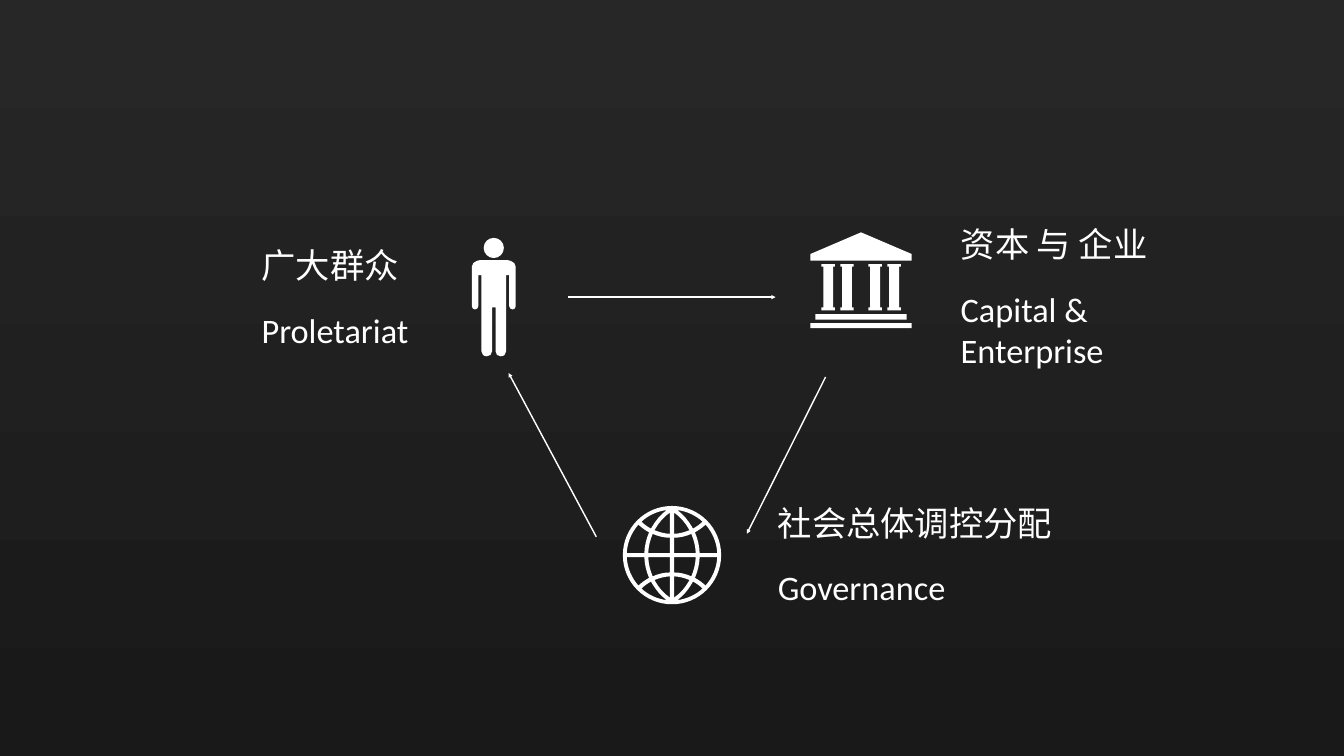
import itertools
from dataclasses import dataclass

import pptx
import pptx.dml.color
import pptx.enum.shapes
import pptx.enum.text
import pptx.oxml
import pptx.oxml.ns
import pptx.slide
import pptx.util

Pt = pptx.util.Pt
Point = tuple[float, float]
# An outline holds points (x, y) and cubic curves (x1, y1, x2, y2, x, y).
Outline = list[tuple[float, ...]]


@dataclass(frozen=True)
class Theme:
    font: str = "Calibri"
    label_size: float = 49
    label_gap: float = 33
    inset: float = 5.9
    arrow_width: float = 2
    ink: str = "FFFFFF"
    background_top: str = "272727"
    background_bottom: str = "191919"


@dataclass(frozen=True)
class Label:
    chinese: str
    english: str
    left: float
    top: float
    width: float
    height: float


@dataclass(frozen=True)
class Arrow:
    start: Point
    end: Point


THEME = Theme()

LABELS = [
    Label("广大群众", "Proletariat", 367.8, 334, 338.4, 181),
    Label("资本 与 企业", "Capital & Enterprise", 1366.6, 299.8, 338.4, 249),
    Label("社会总体调控分配", "Governance", 1105.2, 702.4, 463, 181),
]

ARROWS = [
    Arrow((812, 424.5), (1108, 424.5)),
    Arrow((1179.4, 538.6), (1067, 762.5)),
    Arrow((851.8, 766.8), (726.5, 532.8)),
]

# Right half of the body: x from the body's axis, y on the slide.
PERSON_AXIS = 705.4
HALF_BODY = [
    (0, 371.5), (17.3, 371.5),
    (22.7, 371.5, 27, 373.7, 29.2, 375.8),
    (31.4, 378.7, 31.4, 382.3, 31.4, 383.8),
    (31.4, 437), (31.4, 439.9, 29.5, 442.1, 27, 442.1),
    (24, 442.1, 22, 439.9, 22, 437),
    (22, 393.1), (17.6, 393.1), (17.6, 501.8),
    (17.6, 506.2, 14.4, 509, 9.9, 509),
    (5.6, 509, 2.5, 506.2, 2.5, 501.8),
    (2.5, 439.2), (0, 439.2),
]

# Openings in one quarter of the globe, measured from its centre.
GLOBE_CENTRE = (960, 793)
GLOBE_RADIUS = 70.2
QUARTER_OPENINGS = [
    [(7.6, 64.3), (21.3, 62.8, 34.3, 56.4, 43.6, 47.8),
     (39.3, 43.5, 35, 40.6, 30, 37.8), (28.5, 40.5),
     (22.8, 50, 16.3, 58, 7.6, 64.3)],
    [(2.9, 60.8), (11.3, 55, 18.6, 47, 23.7, 37.8), (25, 35.6),
     (17.8, 32.7, 10.5, 30.6, 2.9, 30.4)],
    [(48, 43.5), (57.5, 32.7, 64, 18.3, 64.6, 2.9), (39.5, 2.9),
     (39.2, 13.2, 36.7, 23.3, 32.7, 32.5),
     (38, 35.4, 43.2, 39, 48, 43.5)],
    [(27.6, 30.4), (31.2, 21.7, 33.6, 12.5, 33.9, 2.9), (2.9, 2.9),
     (2.9, 24.8), (11.5, 24.8, 20, 26.9, 27.6, 30.4)],
]

BANK_AXIS = 1230.1
COLUMN_LEFTS = [1173.6, 1200.4, 1240.7, 1267.7]


def pairs(part: tuple[float, ...]) -> list[Point]:
    return list(zip(part[::2], part[1::2]))


def placed(outline: Outline, origin: Point, flip_x: int = 1, flip_y: int = 1) -> Outline:
    """Move an outline to an origin, mirrored where a flip is -1."""
    return [tuple(itertools.chain.from_iterable(
        (origin[0] + flip_x * x, origin[1] + flip_y * y) for x, y in pairs(part)))
        for part in outline]


def backwards(outline: Outline) -> Outline:
    """The same outline drawn from its last point to its first."""
    turned: Outline = [outline[-1][-2:]]
    for before, part in reversed(list(itertools.pairwise(outline))):
        controls = reversed(pairs(part)[:-1])
        turned.append((*itertools.chain.from_iterable(controls), *before[-2:]))
    return turned


def circle(centre: Point, radius: float) -> Outline:
    r, k = radius, 0.5523 * radius
    return placed([(0, -r), (k, -r, r, -k, r, 0), (r, k, k, r, 0, r),
                   (-k, r, -r, k, -r, 0), (-r, -k, -k, -r, 0, -r)], centre)


def bar(half_width: float, top: float, bottom: float) -> Outline:
    """A rectangle centred on the bank's axis."""
    left, right = BANK_AXIS - half_width, BANK_AXIS + half_width
    return [(left, top), (left, bottom), (right, bottom), (right, top)]


def column(left: float) -> Outline:
    right, recess = left + 19.2, 2.5
    top, neck, foot, bottom = 377.3, 380.9, 439.2, 443.5
    return [(left, top), (left, neck), (left + recess, neck), (left + recess, foot),
            (left, foot), (left, bottom), (right, bottom), (right, foot),
            (right - recess, foot), (right - recess, neck), (right, neck), (right, top)]


def person() -> list[Outline]:
    axis = (PERSON_AXIS, 0)
    body = placed(HALF_BODY, axis) + placed(backwards(HALF_BODY), axis, flip_x=-1)[1:]
    return [circle((PERSON_AXIS, 354.2), 14.4), body]


def bank() -> list[Outline]:
    roof = [(BANK_AXIS, 331.9), *bar(72.4, 362.9, 372.2)]
    columns = [column(left) for left in COLUMN_LEFTS]
    return [roof, *columns, bar(65.2, 448.6, 456.5), bar(72.4, 461.5, 468.9)]


def globe() -> list[Outline]:
    openings = [placed(opening, GLOBE_CENTRE, flip_x, flip_y)
                for flip_x, flip_y in itertools.product((-1, 1), repeat=2)
                for opening in QUARTER_OPENINGS]
    return [circle(GLOBE_CENTRE, GLOBE_RADIUS), *openings]


def colour(value: str) -> pptx.dml.color.RGBColor:
    return pptx.dml.color.RGBColor.from_string(value)


def draw_icon(slide: pptx.slide.Slide, outlines: list[Outline]) -> None:
    """Build the icon from its end points, then bend the curved segments."""
    ends = [[(Pt(part[-2]), Pt(part[-1])) for part in outline] for outline in outlines]
    builder = slide.shapes.build_freeform(*ends[0][0])
    for number, points in enumerate(ends):
        if number:
            builder.move_to(*points[0])
        builder.add_line_segments(points[1:], close=True)
    icon = builder.convert_to_shape()
    icon.shadow.inherit = False
    icon.fill.solid()
    icon.fill.fore_color.rgb = colour(THEME.ink)
    icon.line.fill.background()

    segments = list(icon._element.iter(pptx.oxml.ns.qn("a:lnTo")))
    parts = itertools.chain.from_iterable(outline[1:] for outline in outlines)
    for segment, part in zip(segments, parts):
        if len(part) == 6:
            points = "".join(f'<a:pt x="{Pt(x) - icon.left}" y="{Pt(y) - icon.top}"/>'
                             for x, y in pairs(part))
            curve = pptx.oxml.parse_xml(
                f'<a:cubicBezTo {pptx.oxml.ns.nsdecls("a")}>{points}</a:cubicBezTo>')
            segment.getparent().replace(segment, curve)


def draw_arrow(slide: pptx.slide.Slide, arrow: Arrow) -> None:
    connector = slide.shapes.add_connector(
        pptx.enum.shapes.MSO_CONNECTOR.STRAIGHT,
        *(Pt(value) for value in arrow.start + arrow.end))
    connector.line.color.rgb = colour(THEME.ink)
    connector.line.width = Pt(THEME.arrow_width)
    namespace = pptx.oxml.ns.nsdecls("a")
    connector.line._get_or_add_ln().append(
        pptx.oxml.parse_xml(f'<a:tailEnd {namespace} type="triangle"/>'))
    connector._element.spPr.append(pptx.oxml.parse_xml(f'<a:effectLst {namespace}/>'))


def draw_label(slide: pptx.slide.Slide, label: Label) -> None:
    frame = slide.shapes.add_textbox(
        Pt(label.left), Pt(label.top), Pt(label.width), Pt(label.height)).text_frame
    frame.word_wrap = True
    frame.auto_size = pptx.enum.text.MSO_AUTO_SIZE.SHAPE_TO_FIT_TEXT
    frame.vertical_anchor = pptx.enum.text.MSO_ANCHOR.MIDDLE
    frame.margin_left = frame.margin_right = Pt(THEME.inset)
    frame.margin_top = frame.margin_bottom = Pt(THEME.inset)
    frame.add_paragraph().space_before = Pt(THEME.label_gap)
    for paragraph, wording in zip(frame.paragraphs, (label.chinese, label.english)):
        run = paragraph.add_run()
        run.text = wording
        run.font.name = THEME.font
        run.font.size = Pt(THEME.label_size)
        run.font.color.rgb = colour(THEME.ink)


def paint_background(slide: pptx.slide.Slide) -> None:
    fill = slide.background.fill
    fill.gradient()
    fill.gradient_angle = 270
    for stop, value in zip(fill.gradient_stops, (THEME.background_top, THEME.background_bottom)):
        stop.color.rgb = colour(value)


def main() -> None:
    deck = pptx.Presentation()
    deck.slide_width, deck.slide_height = Pt(1920), Pt(1080)
    slide = deck.slides.add_slide(deck.slide_layouts[6])
    paint_background(slide)
    for outlines in (bank(), globe()):
        draw_icon(slide, outlines)
    for arrow in ARROWS:
        draw_arrow(slide, arrow)
    for label in LABELS:
        draw_label(slide, label)
    draw_icon(slide, person())
    deck.save("out.pptx")


if __name__ == "__main__":
    main()
